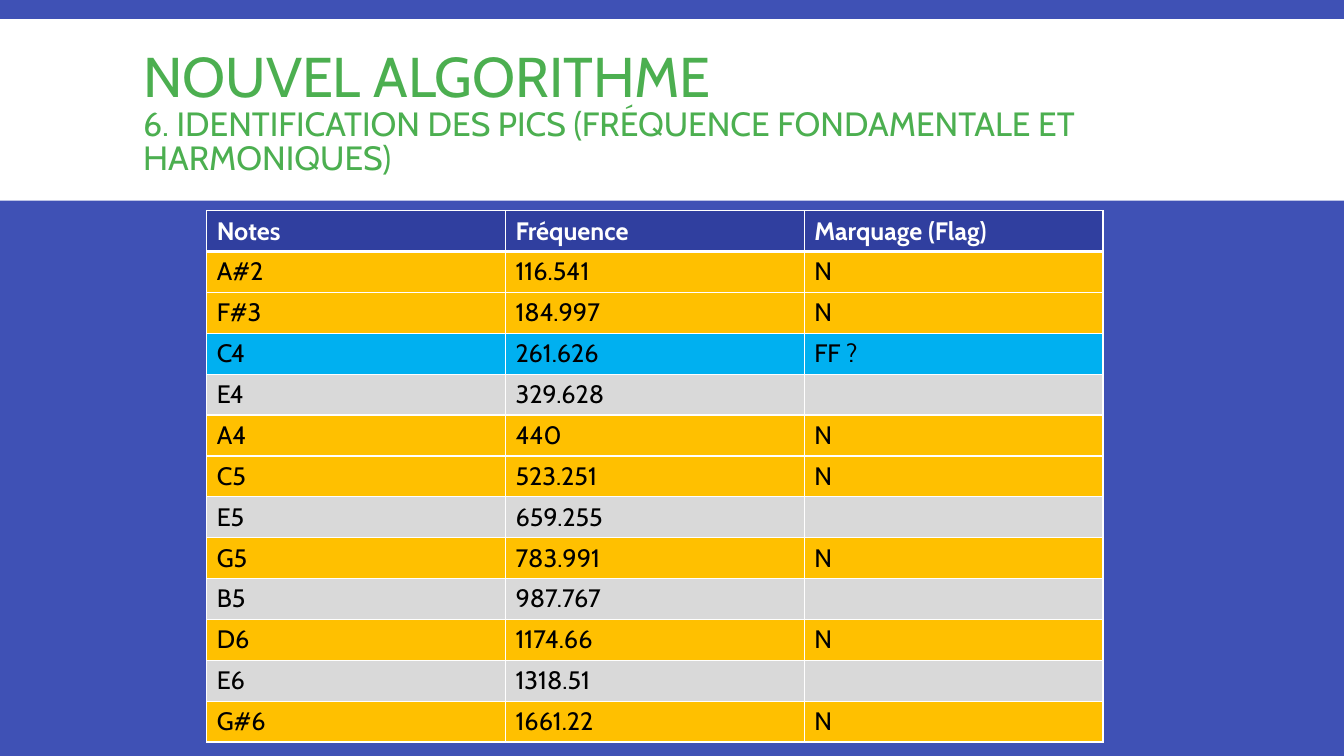
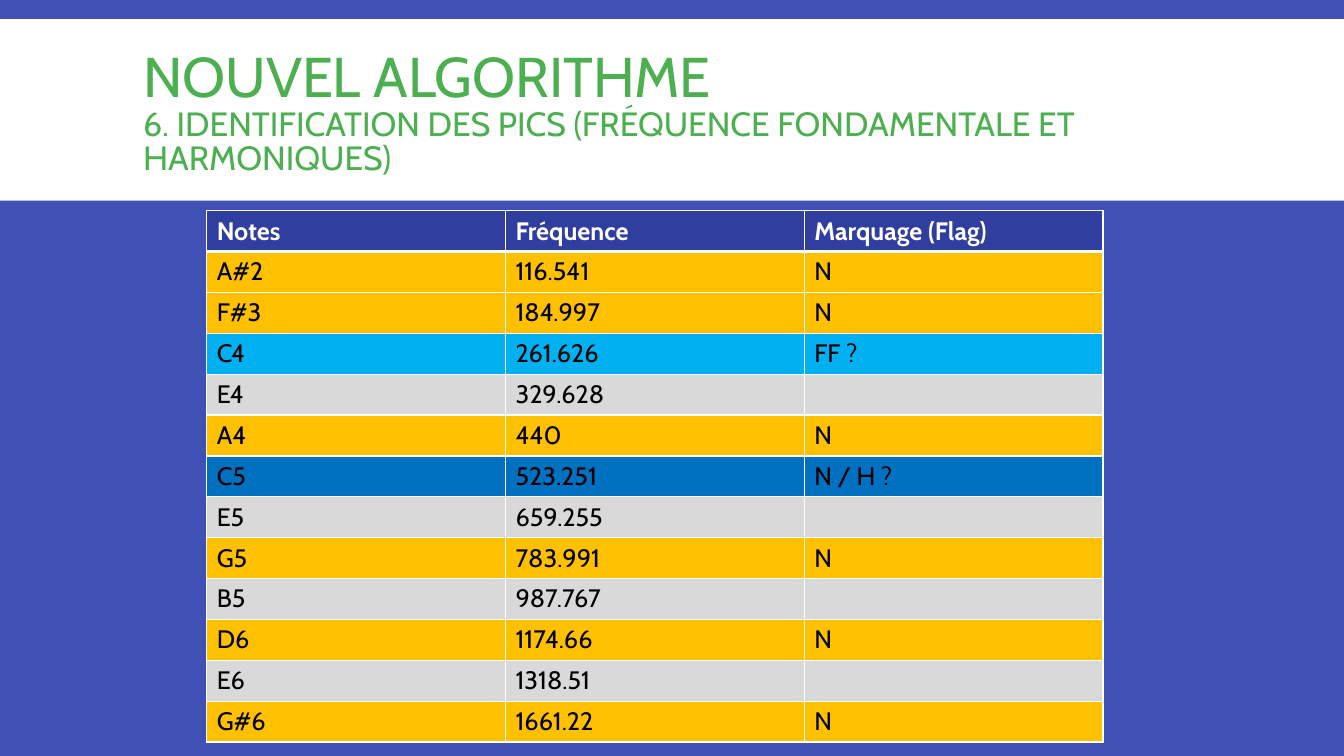
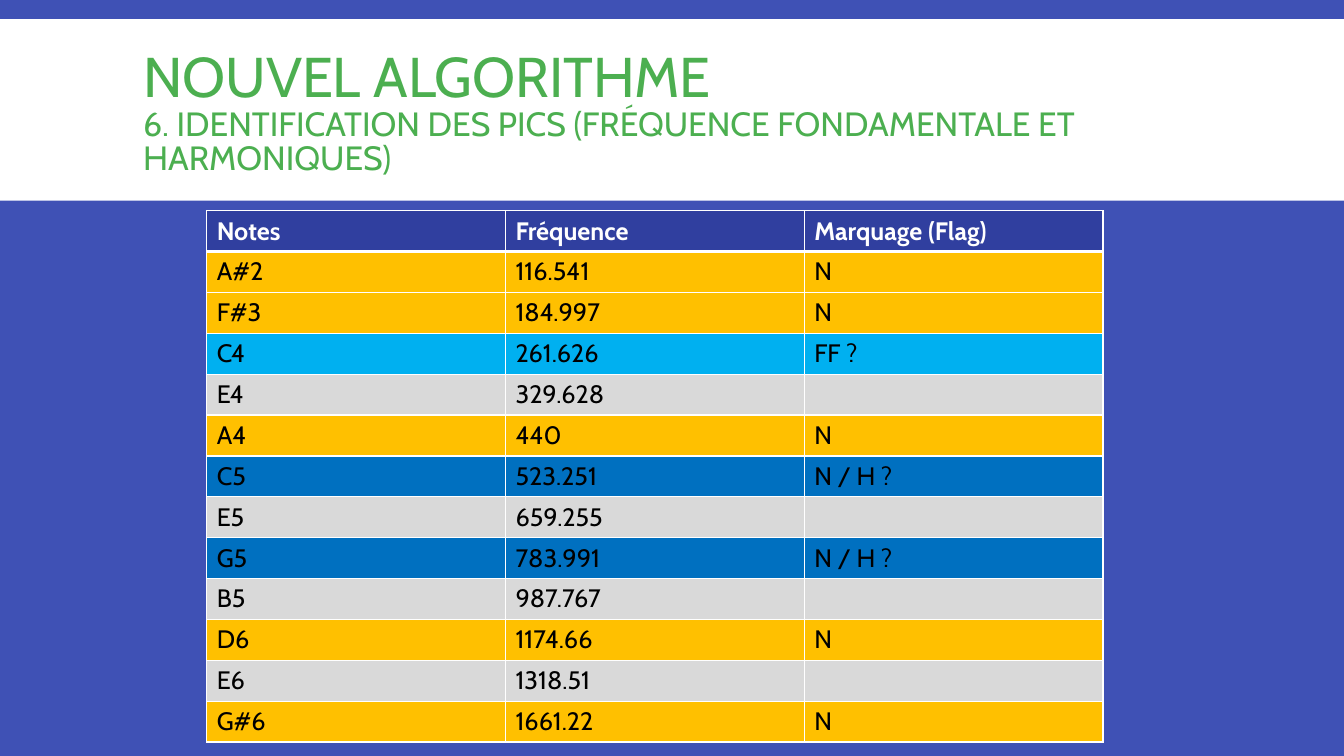
"""Build three slides that mark frequency peaks step by step in a table."""
import pptx
import pptx.dml.color
import pptx.enum.shapes
import pptx.enum.text
import pptx.oxml
import pptx.oxml.ns
import pptx.text.text
import pptx.util

Inches = pptx.util.Inches
Pt = pptx.util.Pt

TITLE = "NOUVEL ALGORITHME"
SUBTITLE = "6. IDENTIFICATION DES PICS (FRÉQUENCE FONDAMENTALE ET HARMONIQUES)"
HEADERS = ("Notes", "Fréquence", "Marquage (Flag)")
PEAKS = [
    ("A#2", "116.541", "N"),
    ("F#3", "184.997", "N"),
    ("C4", "261.626", "FF ?"),
    ("E4", "329.628", ""),
    ("A4", "440", "N"),
    ("C5", "523.251", "N"),
    ("E5", "659.255", ""),
    ("G5", "783.991", "N"),
    ("B5", "987.767", ""),
    ("D6", "1174.66", "N"),
    ("E6", "1318.51", ""),
    ("G#6", "1661.22", "N"),
]
HARMONIC = "N / H ?"
HARMONICS_BY_SLIDE = [(), ("C5",), ("C5", "G5")]

COLORS = {
    "background": "3F51B5",
    "white": "FFFFFF",
    "title": "4CAF50",
    "header": "303F9F",
    "text": "000000",
}
FLAG_COLORS = {"N": "FFC000", "FF ?": "00B0F0", "": "D9D9D9", HARMONIC: "0070C0"}
FONT = "Cabin"
TITLE_FORMAT = {"name": FONT, "size": Pt(40), "bold": False}
TABLE_FORMAT = {"name": FONT, "size": Pt(18)}
TITLE_BOX = {"left": Inches(1.32), "top": Inches(0.31),
             "width": Inches(11.87), "height": Inches(1.65)}
TABLE_BOX = (Inches(2.05), Inches(2.09), Inches(8.89), Inches(5.27))


def rgb(value):
    return pptx.dml.color.RGBColor.from_string(value)


def set_attributes(target, values):
    for name, value in values.items():
        setattr(target, name, value)


def paint(fill, color):
    fill.solid()
    fill.fore_color.rgb = rgb(color)


def style_master(presentation, layout):
    master = presentation.slide_master
    paint(master.background.fill, COLORS["background"])
    level = master.element.find(
        ".//" + pptx.oxml.ns.qn("p:titleStyle") + "/" + pptx.oxml.ns.qn("a:lvl1pPr"))
    level.set("algn", "l")
    font = pptx.text.text.Font(level.find(pptx.oxml.ns.qn("a:defRPr")))
    set_attributes(font, TITLE_FORMAT)
    font.color.rgb = rgb(COLORS["title"])
    title = next(shape for shape in layout.placeholders
                 if shape.placeholder_format.idx == 0)
    set_attributes(title, TITLE_BOX)


def add_band(presentation, slide):
    band = slide.shapes.add_shape(
        pptx.enum.shapes.MSO_SHAPE.RECTANGLE,
        0, Inches(0.19), presentation.slide_width, Inches(1.8))
    band.shadow.inherit = False
    paint(band.fill, COLORS["white"])
    band.line.fill.background()
    band.element.xpath("./p:nvSpPr/p:cNvPr")[0].set("id", "20")
    presentation.slide_master.shapes.element.insert(2, band.element)


def add_title(slide):
    frame = slide.shapes.title.text_frame
    frame.auto_size = pptx.enum.text.MSO_AUTO_SIZE.NONE
    frame.vertical_anchor = pptx.enum.text.MSO_ANCHOR.MIDDLE
    paragraph = frame.paragraphs[0]
    paragraph.line_spacing = 0.85
    paragraph.add_run().text = TITLE
    paragraph.add_line_break()
    subtitle = paragraph.add_run()
    subtitle.text = SUBTITLE
    subtitle.font.size = Pt(24)


def set_borders(cell, widths):
    properties = cell._tc.get_or_add_tcPr()
    for side, width in widths.items():
        properties.append(pptx.oxml.parse_xml(
            f'<a:ln{side} {pptx.oxml.ns.nsdecls("a")} w="{Pt(width)}">'
            f'<a:solidFill><a:srgbClr val="{COLORS["white"]}"/></a:solidFill>'
            f'</a:ln{side}>'))


def add_peak_table(slide, peaks):
    rows = [HEADERS, *peaks]
    left, top, width, height = TABLE_BOX
    table = slide.shapes.add_table(
        len(rows), len(HEADERS), left, top, width, height).table
    for row_index, values in enumerate(rows):
        header = row_index == 0
        fill = COLORS["header"] if header else FLAG_COLORS[values[-1]]
        color = COLORS["white"] if header else COLORS["text"]
        borders = {"L": 1, "R": 1, "T": 3 if row_index == 1 else 1,
                   "B": 3 if header else 1}
        for column_index, value in enumerate(values):
            cell = table.cell(row_index, column_index)
            set_borders(cell, borders)
            paint(cell.fill, fill)
            if value:
                run = cell.text_frame.paragraphs[0].add_run()
                run.text = value
                set_attributes(run.font, {**TABLE_FORMAT, "bold": header})
                run.font.color.rgb = rgb(color)


def main():
    presentation = pptx.Presentation()
    presentation.slide_width = Inches(13.33)
    presentation.slide_height = Inches(7.5)
    layout = presentation.slide_layouts.get_by_name("Title Only")
    style_master(presentation, layout)
    for harmonics in HARMONICS_BY_SLIDE:
        slide = presentation.slides.add_slide(layout)
        add_title(slide)
        add_peak_table(slide, [
            (note, frequency, HARMONIC if note in harmonics else flag)
            for note, frequency, flag in PEAKS])
    add_band(presentation, presentation.slides[0])
    presentation.save("out.pptx")


if __name__ == "__main__":
    main()
